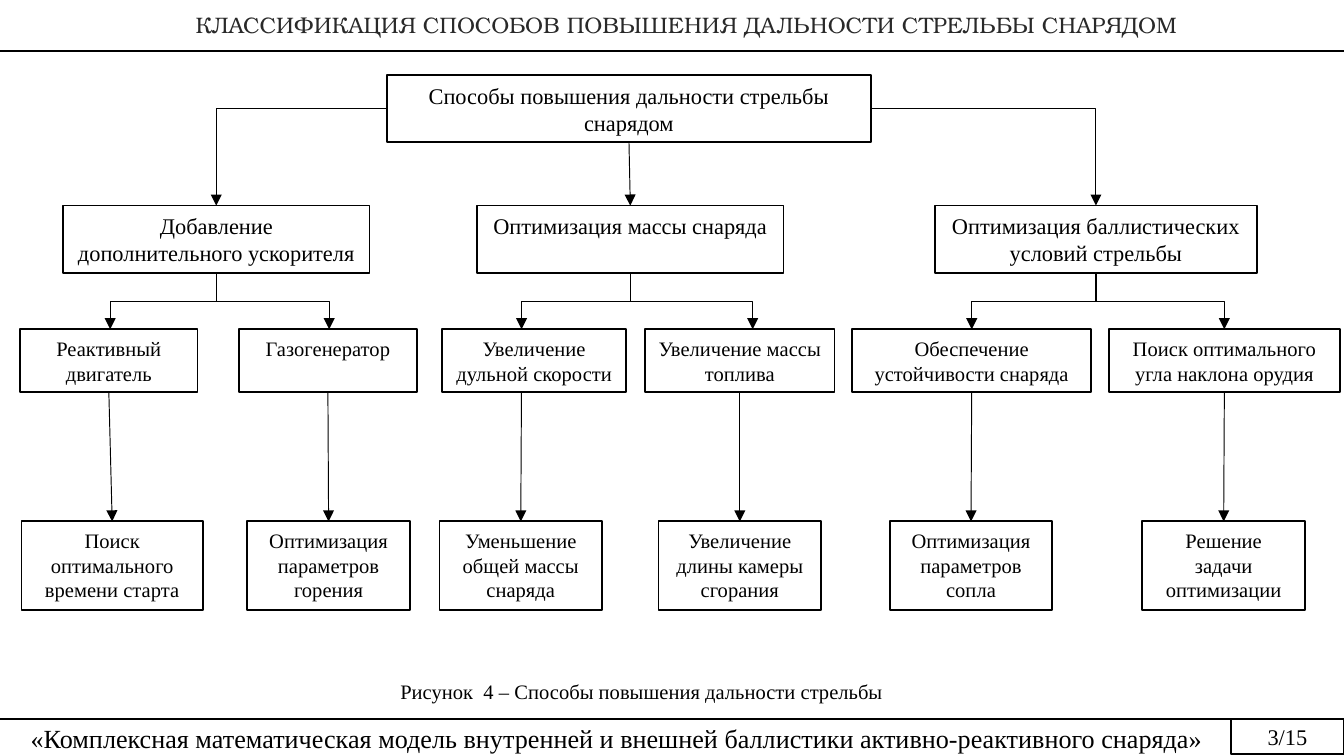
from lxml import etree
from pptx import Presentation
from pptx.dml.color import RGBColor
from pptx.enum.shapes import MSO_CONNECTOR as Link, MSO_SHAPE as Shape
from pptx.enum.text import MSO_ANCHOR as Anchor, MSO_AUTO_SIZE as Fit, PP_ALIGN as Align
from pptx.oxml.ns import qn
from pptx.util import Inches, Pt

BLACK = RGBColor(0, 0, 0)
GREY = RGBColor(0x29, 0x29, 0x29)
WHITE = RGBColor(255, 255, 255)
SERIF = "Times New Roman"
BOTTOM, TOP = 2, 0

TITLE = "КЛАССИФИКАЦИЯ СПОСОБОВ ПОВЫШЕНИЯ ДАЛЬНОСТИ СТРЕЛЬБЫ СНАРЯДОМ"
ROOT = "Способы повышения дальности стрельбы снарядом"
CAPTION = "Рисунок  4 – Способы повышения дальности стрельбы"
FOOTER = ("«Комплексная математическая модель внутренней и внешней "
          "баллистики активно-реактивного снаряда»")

# Branch: text, left, width, methods
# Method: text, left, width, arrow in x, arrow out x (None = middle), task
# Task: text, left, width
BRANCHES = [
    ("Добавление дополнительного ускорителя", 0.47, 2.28, [
        ("Реактивный двигатель", 0.15, 1.32, 0.82, None,
         ("Поиск оптимального времени старта", 0.16, 1.35)),
        ("Газогенератор", 1.78, 1.32, 2.45, None,
         ("Оптимизация параметров горения", 1.84, 1.21))]),
    ("Оптимизация массы снаряда", 3.55, 2.28, [
        ("Увеличение дульной скорости", 3.29, 1.37, 3.88, 3.88,
         ("Уменьшение общей массы снаряда", 3.27, 1.21)),
        ("Увеличение массы топлива", 4.8, 1.41, 5.6, None,
         ("Увеличение длины камеры сгорания", 4.9, 1.21))]),
    ("Оптимизация баллистических\nусловий стрельбы", 6.96, 2.39, [
        ("Обеспечение устойчивости снаряда", 6.34, 1.78, 7.23, None,
         ("Оптимизация параметров сопла", 6.62, 1.21)),
        ("Поиск оптимального угла наклона орудия", 8.25, 1.72, 9.11, None,
         ("Решение задачи оптимизации", 8.5, 1.21))]),
]


def write(shape, text, size, align=Align.CENTER, font=SERIF, color=BLACK):
    frame = shape.text_frame
    frame.word_wrap = True
    frame.text = text
    for para in frame.paragraphs:
        para.alignment = align
        para.font.name = font
        para.font.size = Pt(size)
        para.font.color.rgb = color
    return frame


def inset(frame, side, edge):
    frame.margin_left = frame.margin_right = Inches(side)
    frame.margin_top = frame.margin_bottom = Inches(edge)
    frame.vertical_anchor = Anchor.MIDDLE


def add_box(slide, text, left, top, width, height, size, weight=1):
    box = slide.shapes.add_shape(Shape.RECTANGLE, Inches(left), Inches(top),
                                 Inches(width), Inches(height))
    box.shadow.inherit = False
    box.fill.solid()
    box.fill.fore_color.rgb = WHITE
    box.line.color.rgb = BLACK
    box.line.width = Pt(weight)
    write(box, text, size).vertical_anchor = Anchor.TOP
    return box


def add_text(slide, text, left, top, width, height, size, align):
    box = slide.shapes.add_textbox(Inches(left), Inches(top),
                                   Inches(width), Inches(height))
    return write(box, text, size, align)


def add_line(slide, x1, y1, x2, y2, kind=Link.STRAIGHT, weight=0.5, arrow=True):
    line = slide.shapes.add_connector(kind, Inches(x1), Inches(y1),
                                      Inches(x2), Inches(y2))
    line.line.color.rgb = BLACK
    line.line.width = Pt(weight)
    if arrow:
        tail = etree.SubElement(line.line._get_or_add_ln(), qn("a:tailEnd"))
        tail.set("type", "triangle")
    etree.SubElement(line._element.spPr, qn("a:effectLst"))
    return line


def add_corner(slide, x1, y1, x2, y2):
    """One bend: across, then down."""
    line = add_line(slide, x1, y1, x2, y2, Link.ELBOW)
    line._element.spPr.find(qn("a:prstGeom")).set("prst", "bentConnector2")


def add_fork(slide, x1, y1, x2, y2):
    """Two bends: down, across, down; a turned elbow."""
    mid_x, mid_y = (x1 + x2) / 2, (y1 + y2) / 2
    half_w, half_h = (y2 - y1) / 2, abs(x2 - x1) / 2
    right = x2 > x1
    if right:
        half_w = -half_w
    line = add_line(slide, mid_x - half_w, mid_y - half_h,
                    mid_x + half_w, mid_y + half_h, Link.ELBOW)
    turn = 270 if right else 90
    line._element.spPr.find(qn("a:xfrm")).set("rot", str(turn * 60000))


def join(slide, upper, lower, x=None):
    """Arrow down between boxes; a given x starts it off the middle."""
    start = x or 0
    y = (upper.top + upper.height) / Inches(1)
    line = add_line(slide, start, y, start, lower.top / Inches(1))
    if x is None:
        line.begin_connect(upper, BOTTOM)
    line.end_connect(lower, TOP)


def add_title(slide):
    title = slide.shapes.title
    title.left, title.top = Inches(0), Inches(0)
    title.width, title.height = Inches(10), Inches(0.37)
    title.fill.solid()
    title.fill.fore_color.rgb = WHITE
    frame = write(title, TITLE, 12, font="TeX Gyre Bonum", color=GREY)
    frame.auto_size = Fit.NONE
    inset(frame, 0.01, 0.01)
    frame.paragraphs[0]._p.get_or_add_pPr().set("indent", str(Inches(0.22)))
    add_line(slide, 0, 0.38, 10, 0.38, weight=0.75, arrow=False)


def add_footer(slide):
    frame = add_text(slide, FOOTER, 0, 5.34, 9.18, 0.31, 14, Align.CENTER)
    inset(frame, 0.07, 0.04)
    frame.paragraphs[0].space_after = Pt(4.5)
    add_line(slide, 0, 5.35, 9.18, 5.35, weight=0.75, arrow=False)
    page = add_box(slide, "3/15", 9.16, 5.35, 0.84, 0.26, 12, 0.75)
    page.fill.background()
    inset(page.text_frame, 0.07, 0.04)


def add_tree(slide):
    root = add_box(slide, ROOT, 2.88, 0.56, 3.6, 0.5, 12)
    for text, left, width, methods in BRANCHES:
        branch = add_box(slide, text, left, 1.53, width, 0.5, 12)
        mid = left + width / 2
        if mid < 2.88:
            add_corner(slide, 2.88, 0.81, mid, 1.53)
        elif mid > 6.48:
            add_corner(slide, 6.48, 0.81, mid, 1.53)
        else:
            join(slide, root, branch)
        for name, x, wide, entry, leave, task in methods:
            method = add_box(slide, name, x, 2.45, wide, 0.47, 11)
            add_fork(slide, mid, 2.03, entry, 2.45)
            goal, goal_x, goal_w = task
            leaf = add_box(slide, goal, goal_x, 3.88, goal_w, 0.66, 11)
            join(slide, method, leaf, leave)


def main():
    deck = Presentation()
    # Widescreen, 16:9
    deck.slide_width = Inches(10)
    deck.slide_height = deck.slide_width * 9 // 16
    slide = deck.slides.add_slide(deck.slide_layouts[5])
    add_title(slide)
    add_footer(slide)
    add_tree(slide)
    add_text(slide, CAPTION, 2.88, 5, 5.08, 0.29, 11, Align.LEFT)
    deck.save("out.pptx")


if __name__ == "__main__":
    main()
